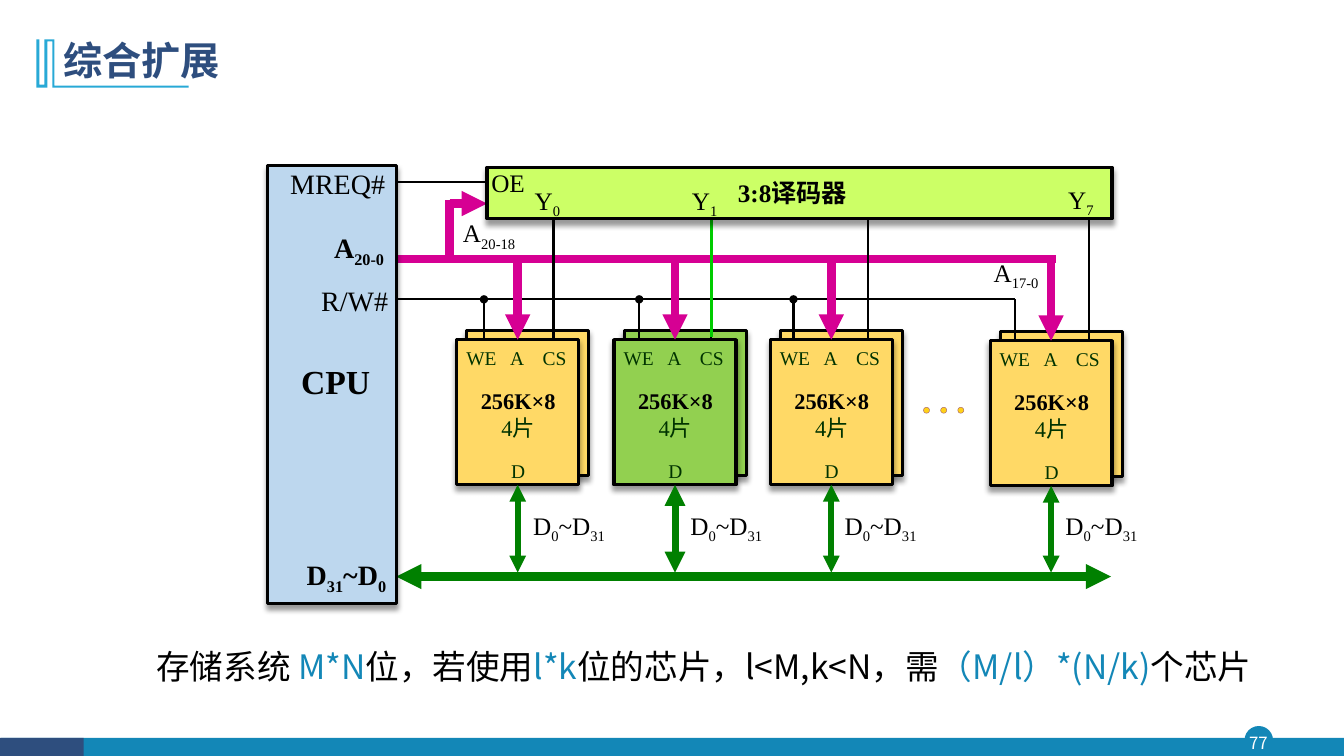
from dataclasses import dataclass

from lxml import etree
from pptx import Presentation
from pptx.dml.color import RGBColor
from pptx.enum.shapes import MSO_CONNECTOR, MSO_SHAPE
from pptx.enum.text import MSO_ANCHOR, MSO_AUTO_SIZE, PP_ALIGN
from pptx.oxml.ns import qn
from pptx.util import Inches, Pt

RECT, OVAL, STRAIGHT = MSO_SHAPE.RECTANGLE, MSO_SHAPE.OVAL, MSO_CONNECTOR.STRAIGHT
LEFT, CENTER, RIGHT = PP_ALIGN.LEFT, PP_ALIGN.CENTER, PP_ALIGN.RIGHT
TOP, MIDDLE = MSO_ANCHOR.TOP, MSO_ANCHOR.MIDDLE
SERIF, SANS = "Times New Roman", "Noto Sans CJK SC"
C = {
    "black": "000000", "white": "FFFFFF", "teal": "1387B7", "navy": "2E4E7E",
    "cyan": "28A9D6", "cpu": "BDD7EE", "decoder": "CCFF66", "chip": "FFD966",
    "active": "92D050", "pin": "003300", "address": "D60093", "data": "008000",
    "select": "00CC00", "dot": "FFCC00", "dot_line": "954F72",
}


@dataclass
class Run:
    text: str
    color: str = "black"
    bold: bool = False
    base: int = 0


@dataclass
class Chip:
    x: float
    y: float
    fill: str
    we: float
    select: float
    label_right: float
    last: bool = False


CHIPS = [
    Chip(4.53, 3.37, "chip", 4.8, 5.49, 6.01),
    Chip(6.09, 3.37, "active", 6.34, 7.05, 7.57),
    Chip(7.64, 3.37, "chip", 7.87, 8.61, 9.1),
    Chip(9.82, 3.38, "chip", 10.07, 10.8, 11.29, last=True),
]
CHIP_W, CHIP_H = 1.21, 1.44
ADDRESS_Y, WRITE_Y, DATA_Y, DECODER_BOTTOM = 2.57, 2.97, 5.72, 2.17


def rgb(name: str) -> RGBColor:
    return RGBColor.from_string(C[name])


def add_runs(p, runs: list[Run], size: float, font: str) -> None:
    for run in runs:
        r = p.add_run()
        r.text = run.text
        r.font.size, r.font.bold = Pt(size), run.bold
        r.font.color.rgb = rgb(run.color)
        r.font.name = font
        props = r._r.get_or_add_rPr()
        etree.SubElement(props, qn("a:ea")).set("typeface", SANS)
        if run.base:
            props.set("baseline", str(run.base * 1000))


def text(s, at, paragraphs: list[list[Run]], size=18, align=RIGHT, font=SERIF,
         inset=0.01, wrap=True, anchor=TOP) -> None:
    tf = s.shapes.add_textbox(*map(Inches, at)).text_frame
    tf.word_wrap, tf.vertical_anchor = wrap, anchor
    tf.margin_left = tf.margin_right = Inches(inset)
    tf.margin_top = tf.margin_bottom = Inches(inset / 2 if inset == 0.1 else inset)
    for i, runs in enumerate(paragraphs):
        p = tf.add_paragraph() if i else tf.paragraphs[0]
        p.alignment = align
        add_runs(p, runs, size, font)


def subscripted(*parts: str, bold: bool = False) -> list[list[Run]]:
    """One paragraph whose parts alternate between normal and subscript."""
    return [[Run(t, bold=bold, base=-25 * (i % 2)) for i, t in enumerate(parts)]]


def shape(s, kind, at, fill: str, line: str = "", width=2.25, shadow=False):
    sp = s.shapes.add_shape(kind, *map(Inches, at))
    paint(sp, fill)
    if line:
        sp.line.color.rgb, sp.line.width = rgb(line), Pt(width)
    if shadow:
        effects = sp._element.spPr.find(qn("a:effectLst"))
        outer = etree.SubElement(effects, qn("a:outerShdw"), blurRad="50800",
                                 dist="38100", dir="5400000", rotWithShape="0")
        color = etree.SubElement(outer, qn("a:srgbClr"), val=C["black"])
        etree.SubElement(color, qn("a:alpha"), val="40000")
    return sp


def paint(sp, fill: str) -> None:
    sp.shadow.inherit = False
    sp.fill.solid()
    sp.fill.fore_color.rgb = rgb(fill)
    sp.line.fill.background()


def line(s, start, end, color="black", width=1.5, head="", tail=""):
    cn = s.shapes.add_connector(STRAIGHT, *map(Inches, (*start, *end)))
    cn.line.color.rgb, cn.line.width = rgb(color), Pt(width)
    for tag, arrow in (("a:headEnd", head), ("a:tailEnd", tail)):
        if arrow:
            etree.SubElement(cn.line._get_or_add_ln(), qn(tag), type=arrow)
    etree.SubElement(cn._element.spPr, qn("a:effectLst"))
    return cn


def draw_frame(s) -> None:
    # Footer bar and page number
    shape(s, OVAL, (12.35, 7.21, 0.27, 0.27), "teal", "teal", 1)
    shape(s, RECT, (0.01, 7.32, 13.32, 0.19), "teal")
    shape(s, RECT, (0, 7.32, 0.83, 0.19), "navy")
    text(s, (12.32, 7.21, 0.32, 0.31), [[Run("77", "white")]], 12, CENTER, SANS,
         inset=0, anchor=MIDDLE)
    # Title ornament
    outline = [(0.54, 0.39), (0.54, 0.85), (1.87, 0.85), (1.87, 0.87), (0.52, 0.87),
               (0.52, 0.41), (0.47, 0.41), (0.47, 0.87), (0.36, 0.87), (0.36, 0.39),
               (0.39, 0.39), (0.39, 0.84), (0.44, 0.84), (0.44, 0.39)]
    points = [(Inches(x), Inches(y)) for x, y in outline]
    ff = s.shapes.build_freeform(*points[0])
    ff.add_line_segments(points[1:], close=True)
    paint(ff.convert_to_shape(), "cyan")
    # Title
    title = s.shapes.title
    title.left, title.top, title.width, title.height = map(Inches, (0.53, 0.28, 11.5, 0.68))
    tf = title.text_frame
    tf.auto_size, tf.vertical_anchor = MSO_AUTO_SIZE.NONE, MIDDLE
    p = tf.paragraphs[0]
    p.alignment, p.line_spacing = LEFT, 0.9
    add_runs(p, [Run("综合扩展", "navy", True)], 28, SANS)


def draw_chip(s, chip: Chip):
    x, y = chip.x, chip.y
    shape(s, RECT, (x + 0.1, y - 0.09, CHIP_W, CHIP_H), chip.fill, "black", shadow=True)
    front = shape(s, RECT, (x, y, CHIP_W, CHIP_H), chip.fill, "black", shadow=True)
    for pin, dx, dy, w in (("WE", -0.03, -0.03, 0.55), ("D", 0.43, 1.09, 0.36),
                           ("A", 0.42, -0.03, 0.36), ("CS", 0.73, -0.03, 0.48)):
        text(s, (x + dx, y + dy, w, 0.5), [[Run(pin, "pin", base=30)]], 24, CENTER,
             inset=0.1, wrap=False)
    text(s, (x - 0.02, y + 0.42, 1.26, 0.64),
         [[Run("256K×8", bold=True)], [Run("4片", "pin")]], 16, CENTER, inset=0.1)
    return front


def draw_buses(s, fronts) -> None:
    # Write line with its taps
    for c in CHIPS:
        line(s, (c.we, c.y), (c.we, WRITE_Y), tail="" if c.last else "oval")
    line(s, (3.88, WRITE_Y), (10.07, WRITE_Y))
    # Address, data and memory request lines
    text(s, (9.32, 2.54, 0.99, 0.49), subscripted("A", "17-0"))
    line(s, (3.91, ADDRESS_Y), (10.47, ADDRESS_Y), "address", 6)
    line(s, (3.93, DATA_Y), (11.02, DATA_Y), "data", 6, "triangle", "triangle")
    line(s, (3.92, 1.81), (4.83, 1.81))
    # Connections of each chip
    for c, front in zip(CHIPS, fronts):
        mid = c.x + CHIP_W / 2
        address = line(s, (mid, ADDRESS_Y), (mid, c.y), "address", 6, tail="triangle")
        address.end_connect(front, 0)
        line(s, (c.select, c.y), (c.select, DECODER_BOTTOM))
        data = line(s, (mid, c.y + CHIP_H), (mid, 5.68), "data",
                    5 if c.fill == "active" else 4, "triangle", "triangle")
        data.begin_connect(front, 2)
        text(s, (c.label_right - 0.89, 5.05, 0.89, 0.48), subscripted("D", "0", "~D", "31"))
    # Active select line and the branch to the decoder
    line(s, (7.06, 3.34), (7.06, 2.15), "select", 2.25)
    line(s, (4.46, 2.02), (4.83, 2.02), "address", 6, tail="triangle")
    line(s, (4.46, 1.98), (4.46, ADDRESS_Y), "address", 6)
    text(s, (4.14, 2.15, 0.98, 0.48), subscripted("A", "20-18"))
    # Ellipsis between the chips
    for i in range(3):
        dot = shape(s, OVAL, (9.16 + 0.17 * i, 4.04, 0.06, 0.06), "dot", "dot_line", 0.25)
        color = dot._element.spPr.find(qn("a:solidFill"))[0]
        etree.SubElement(color, qn("a:alpha"), val="90000")


def draw_cpu(s) -> None:
    shape(s, RECT, (2.65, 1.64, 1.28, 4.35), "cpu", "black", shadow=True)
    for x, y, label, size in (
        (2.7, 2.28, subscripted("A", "20-0", bold=True), 20),
        (2.71, 1.64, subscripted("MREQ#"), 20),
        (2.74, 2.8, subscripted("R/W#"), 20),
        (2.56, 3.57, subscripted("CPU", bold=True), 24),
        (2.72, 5.52, subscripted("D", "31", "~D", "0", bold=True), 20),
    ):
        text(s, (x, y, 1.12, 0.56), label, size)


def draw_decoder(s) -> None:
    shape(s, RECT, (4.83, 1.66, 6.2, 0.51), "decoder", "black", shadow=True)
    text(s, (7.22, 1.71, 1.34, 0.4), [[Run("3:8译码器", bold=True)]], align=LEFT,
         inset=0.1, wrap=False)
    for x, y, parts in ((5.2, 1.83, ("Y", "0")), (6.76, 1.83, ("Y", "1")),
                        (10.49, 1.82, ("Y", "7")), (4.81, 1.65, ("OE",))):
        text(s, (x, y, 0.46, 0.31), subscripted(*parts), align=CENTER)


def main() -> None:
    prs = Presentation()
    prs.slide_width, prs.slide_height = Inches(13.33), Inches(7.5)
    s = prs.slides.add_slide(prs.slide_layouts[5])
    draw_frame(s)
    draw_buses(s, [draw_chip(s, c) for c in CHIPS])
    draw_cpu(s)
    draw_decoder(s)
    # Sizing rule
    text(s, (0.92, 6.36, 11.59, 0.5), [[
        Run("存储系统 "), Run("M*N", "teal"), Run("位，若使用"), Run("l*k", "teal"),
        Run("位的芯片，l<M,k<N，需"), Run("（M/l）*(N/k)", "teal"), Run("个芯片"),
    ]], 24, font=SANS, inset=0.1)
    prs.save("out.pptx")


if __name__ == "__main__":
    main()
